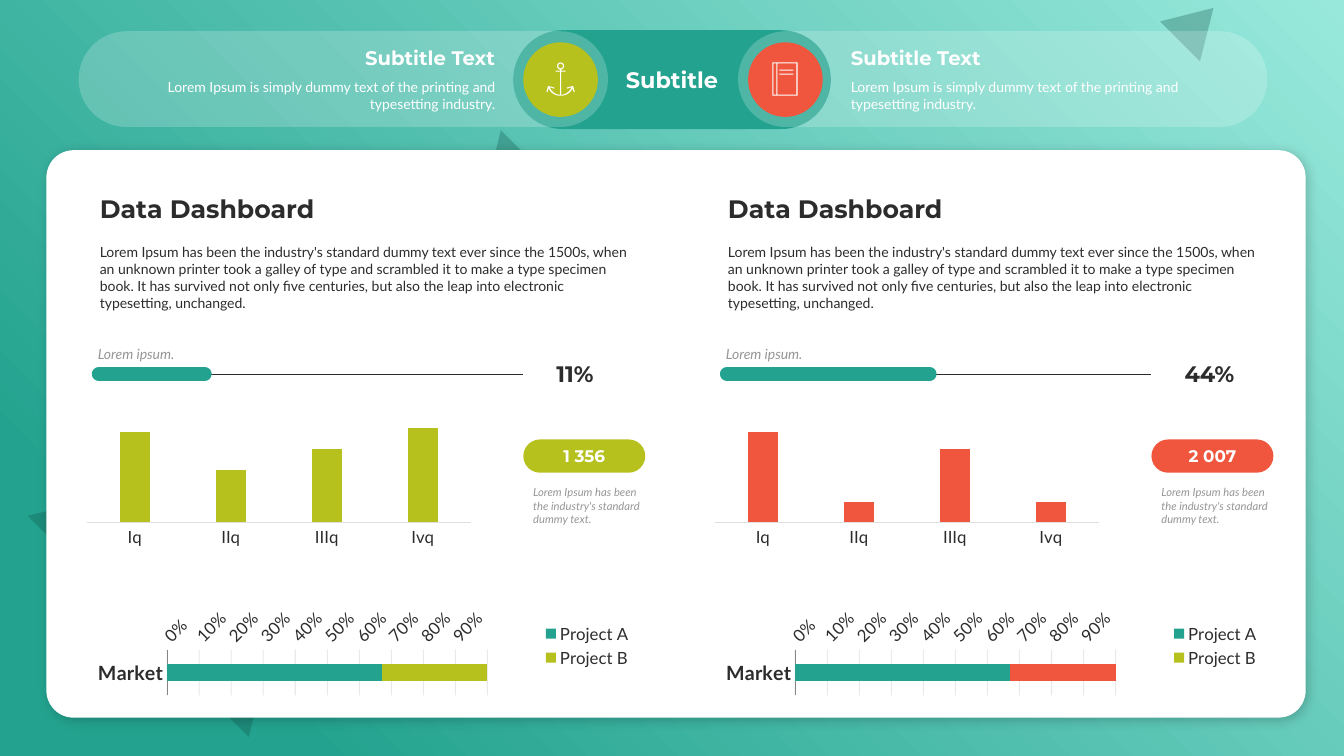
import math

import pptx
import pptx.chart.data
import pptx.dml.color
import pptx.enum.chart
import pptx.enum.shapes
import pptx.enum.text
import pptx.oxml
import pptx.oxml.ns
import pptx.util

PX = 9144  # EMU per px, 100 px to the inch
COLORS = {
    "mint": "98E9DC", "teal": "23A38F", "pine": "115248", "lime": "B7C11E",
    "coral": "F0563D", "white": "FFFFFF", "ink": "2C2C2C", "muted": "969696",
    "rule": "DFDFDF", "axis": "868686", "shade": "000000",
}
STYLES = {
    "title": dict(size=16, name="Montserrat", bold=True, color="white"),
    "wing heading": dict(size=14, name="Montserrat", bold=True, color="white"),
    "wing detail": dict(size=10, name="Lato", bold=False, color="white"),
    "heading": dict(size=18, name="Montserrat", bold=True, color="ink"),
    "body": dict(size=10, name="Lato", bold=False, color="ink"),
    "percent": dict(size=16, name="Montserrat", bold=True, color="ink"),
    "label": dict(size=10, name="Lato", italic=True, color="muted"),
    "badge": dict(size=12, name="Montserrat", bold=True, color="white"),
    "note": dict(size=8, name="Lato", italic=True, color="muted"),
    "chart": dict(size=12, name="Lato", color="ink"),
    "market": dict(size=14, name="Lato", bold=True, color="ink"),
}
ALIGN = pptx.enum.text.PP_ALIGN
ANCHOR = pptx.enum.text.MSO_ANCHOR
SHAPE = pptx.enum.shapes.MSO_SHAPE
CHART = pptx.enum.chart.XL_CHART_TYPE
NO_TICK = pptx.enum.chart.XL_TICK_MARK.NONE
PITCH = 623
WING_DETAIL = "Lorem Ipsum is simply dummy text of the printing and typesetting industry."
BODY = ("Lorem Ipsum has been the industry's standard dummy text ever since the 1500s, "
        "when an unknown printer took a galley of type and scrambled it to make a type "
        "specimen book. It has survived not only five centuries, but also the leap into "
        "electronic typesetting, unchanged.")
NOTE = "Lorem Ipsum has been the industry's standard dummy text."


def emu(*lengths):
    return [round(length * PX) for length in lengths]


def rgb(color):
    return pptx.dml.color.RGBColor.from_string(COLORS[color])


def xml(text):
    return pptx.oxml.parse_xml(text.replace(">", f" {pptx.oxml.ns.nsdecls('a', 'c')}>", 1))


def set_font(font, style):
    for name, value in STYLES[style].items():
        if name == "color":
            font.color.rgb = rgb(value)
        else:
            setattr(font, name, pptx.util.Pt(value) if name == "size" else value)


def set_alpha(fill_parent, percent):
    color = fill_parent.find(".//" + pptx.oxml.ns.qn("a:srgbClr"))
    color.append(xml(f'<a:alpha val="{percent * 1000}"></a:alpha>'))


def paint(shape, color, alpha=100):
    shape.shadow.inherit = False
    shape.line.fill.background()
    shape.fill.solid()
    shape.fill.fore_color.rgb = rgb(color)
    if alpha < 100:
        set_alpha(shape.element.spPr, alpha)
    return shape


def draw(shapes, kind, box, color, alpha=100, radius=None, rotation=0):
    shape = paint(shapes.add_shape(kind, *emu(*box)), color, alpha)
    shape.rotation = rotation
    if radius is not None:
        shape.adjustments[0] = radius
    return shape


def write(shape, lines, align=ALIGN.LEFT, anchor=ANCHOR.TOP, insets=(10, 5, 10, 5), after=0, grow=False):
    """Fill a shape with (text, style) paragraphs."""
    frame = shape.text_frame
    sizes = pptx.enum.text.MSO_AUTO_SIZE
    settings = dict(zip(("margin_left", "margin_top", "margin_right", "margin_bottom"), emu(*insets)))
    settings.update(word_wrap=True, vertical_anchor=anchor,
                    auto_size=sizes.SHAPE_TO_FIT_TEXT if grow else sizes.NONE)
    for name, value in settings.items():
        setattr(frame, name, value)
    for number, (text, style) in enumerate(lines):
        paragraph = frame.add_paragraph() if number else frame.paragraphs[0]
        paragraph.alignment = align
        paragraph.space_before = pptx.util.Pt(0)
        paragraph.space_after = pptx.util.Pt(after)
        run = paragraph.add_run()
        run.text = text
        set_font(run.font, style)


def write_box(shapes, box, text, style, **layout):
    write(shapes.add_textbox(*emu(*box)), [(text, style)], grow=True, **layout)


def write_placeholder(holder, box, text, style, **layout):
    """Move a placeholder to the box, on top of what is drawn so far, without bullets."""
    holder.left, holder.top, holder.width, holder.height = emu(*box)
    holder.element.getparent().append(holder.element)
    write(holder, [(text, style)], **layout)
    properties = holder.text_frame.paragraphs[0]._p.get_or_add_pPr()
    properties.set("marL", "0")
    properties.set("indent", "0")
    properties.append(xml("<a:buNone></a:buNone>"))


def draw_line(shapes, left, right, y, color, width, cap="flat"):
    line = shapes.add_connector(pptx.enum.shapes.MSO_CONNECTOR.STRAIGHT, *emu(left, y, right, y))
    line.line.color.rgb = rgb(color)
    line.line.width = pptx.util.Pt(width)
    line.element.spPr.find(pptx.oxml.ns.qn("a:ln")).set("cap", cap)
    line.element.spPr.append(xml("<a:effectLst></a:effectLst>"))


def draw_outline(shapes, x, y, contours, color, unit=1):
    """Draw closed contours, given in px / unit, as one shape with holes."""
    builder = shapes.build_freeform(*contours[0][0], scale=PX / unit)
    for number, contour in enumerate(contours):
        if number:
            builder.move_to(*contour[0])
        builder.add_line_segments(contour[1:], close=True)
    paint(builder.convert_to_shape(*emu(x, y)), color)


def curve(*controls):
    weights = [((1 - t) ** 3, 3 * t * (1 - t) ** 2, 3 * t * t * (1 - t), t ** 3)
               for t in (step / 10 for step in range(11))]
    return [tuple(sum(w * point[axis] for w, point in zip(row, controls)) for axis in (0, 1))
            for row in weights]


def arc(radius, start, end):
    return [(140 + radius * math.cos(math.radians(a)), 35 + radius * math.sin(math.radians(a)))
            for a in range(start, end + 1, 10)]


def draw_anchor(shapes, x, y):
    right = (arc(35, -90, 80) + [(145, 80), (190, 80), (190, 90), (145, 90)]
             + curve((145, 320), (190, 320), (230, 290), (250, 245))
             + [(205, 260), (200, 250), (255, 235), (265, 235), (280, 290), (270, 295)]
             + curve((258, 255), (240, 300), (200, 330), (140, 330)))
    left = [(280 - px, py) for px, py in reversed(right)]
    draw_outline(shapes, x, y, [right + left, arc(23, 0, 350)], "white", unit=10)


def draw_book(shapes, x, y):
    book = shapes.add_group_shape().shapes
    bounds = [(0, 0, 25, 33), (1, 1, 4, 32), (5, 1, 24, 32)]
    draw_outline(book, x, y, [[(l, t), (r, t), (r, b), (l, b)] for l, t, r, b in bounds], "white")
    for drop in (7, 11):
        draw(book, SHAPE.RECTANGLE, (x + 7, y + drop, 14, 1), "white")


def draw_background(shapes, width, height):
    backdrop = draw(shapes, SHAPE.RECTANGLE, (0, 0, width, height), "teal")
    backdrop.fill.gradient()
    for stop, position, color in zip(backdrop.fill.gradient_stops, (0, 0.85), ("mint", "teal")):
        stop.position = position
        stop.color.rgb = rgb(color)
    gradient = backdrop.element.spPr.find(pptx.oxml.ns.qn("a:gradFill"))
    gradient.replace(gradient.find(pptx.oxml.ns.qn("a:lin")), xml(
        '<a:path path="circle"><a:fillToRect l="100000" b="100000"/></a:path>'))
    for box, rotation in (((73, 402, 310, 257), 45), ((457, 150, 90, 75), 225), ((1159, 1, 56, 47), 45)):
        draw(shapes, SHAPE.ISOSCELES_TRIANGLE, box, "pine", alpha=30, rotation=rotation)


def draw_header(slide, left, top):
    shapes = slide.shapes
    pill = (left + 431, top - 1, 315, 98)
    draw(shapes, SHAPE.ROUNDED_RECTANGLE, pill, "teal", radius=0.5)
    write_placeholder(shapes.title, pill, "Subtitle", "title", align=ALIGN.CENTER,
                      anchor=ANCHOR.MIDDLE, insets=(87, 5, 87, 5))
    for x, align, insets in ((left + 654, ALIGN.LEFT, (98, 5, 20, 5)), (left, ALIGN.RIGHT, (20, 5, 98, 5))):
        wing = draw(shapes, SHAPE.ROUNDED_RECTANGLE, (x, top, 525, 95), "white", alpha=20, radius=0.5)
        write(wing, [("Subtitle Text", "wing heading"), (WING_DETAIL, "wing detail")],
              align, ANCHOR.MIDDLE, insets, after=6)
    for x, color in ((left + 441, "lime"), (left + 664, "coral")):
        draw(shapes, SHAPE.OVAL, (x, top + 11, 74, 74), color)
    draw_anchor(shapes, left + 464, top + 31)
    draw_book(shapes, left + 688, top + 31)


def draw_card(shapes, box):
    card = draw(shapes, SHAPE.ROUNDED_RECTANGLE, box, "white", radius=0.048)
    card.element.spPr.find(pptx.oxml.ns.qn("a:effectLst")).append(xml(
        '<a:outerShdw blurRad="101600" dist="38100" dir="2700000" algn="tl" rotWithShape="0">'
        f'<a:srgbClr val="{COLORS["shade"]}"><a:alpha val="20000"/></a:srgbClr></a:outerShdw>'))


def add_chart(shapes, kind, box, categories, series, gap, overlap, layout):
    """Add a chart; series holds (name, values, color), layout the inner plot's x, y, w, h."""
    data = pptx.chart.data.CategoryChartData()
    data.categories = categories
    for name, values, color in series:
        data.add_series(name, values)
    chart = shapes.add_chart(kind, *emu(*box), data).chart
    chart.has_title = chart.has_legend = False
    set_font(chart.font, "chart")
    plot = chart.plots[0]
    plot.vary_by_categories, plot.gap_width, plot.overlap = False, gap, overlap
    for drawn, (name, values, color) in zip(plot.series, series):
        drawn.format.fill.solid()
        drawn.format.fill.fore_color.rgb = rgb(color)
    for axis in (chart.category_axis, chart.value_axis):
        axis.major_tick_mark = axis.minor_tick_mark = NO_TICK
    chart.category_axis.format.line.width = pptx.util.Pt(0.75)
    area = chart.element.find(".//" + pptx.oxml.ns.qn("c:plotArea"))
    for old in area.findall(pptx.oxml.ns.qn("c:layout")):
        area.remove(old)
    sides = "".join(f'<c:{side} val="{value}"/>' for side, value in zip("xywh", layout))
    area.insert(0, xml('<c:layout><c:manualLayout><c:layoutTarget val="inner"/>'
                       f'<c:xMode val="edge"/><c:yMode val="edge"/>{sides}</c:manualLayout></c:layout>'))
    return chart


def add_quarters(shapes, box, values, top_value, accent):
    chart = add_chart(shapes, CHART.COLUMN_CLUSTERED, box, ["Iq", "IIq", "IIIq", "Ivq"],
                      [("Series 1", values, accent)], 219, -27, (0.02, 0.1, 0.95, 0.63))
    chart.category_axis.format.line.color.rgb = rgb("rule")
    scale = dict(visible=False, has_major_gridlines=False, minimum_scale=0, maximum_scale=top_value)
    for name, value in scale.items():
        setattr(chart.value_axis, name, value)


def add_market(shapes, box, accent):
    chart = add_chart(shapes, CHART.BAR_STACKED_100, box, ["Market"],
                      [("Project A", [67], "teal"), ("Project B", [33], "lime")],
                      155, 100, (0.14, 0.54, 0.58, 0.44))
    share = chart.plots[0].series[1].points[0].format.fill
    share.solid()
    share.fore_color.rgb = rgb(accent)
    chart.category_axis.reverse_order = True
    chart.category_axis.format.line.color.rgb = rgb("axis")
    set_font(chart.category_axis.tick_labels.font, "market")
    scale = chart.value_axis
    scale.major_unit = 0.1
    scale.format.line.fill.background()
    scale.tick_labels.number_format = "0%"
    scale.tick_labels.number_format_is_linked = False
    set_font(scale.tick_labels.font, "chart")
    scale._element.find(".//" + pptx.oxml.ns.qn("a:bodyPr")).set("rot", "-2700000")
    grid = scale.major_gridlines.format.line
    grid.color.rgb = rgb("ink")
    grid.width = pptx.util.Pt(0.75)
    set_alpha(scale._element.find(pptx.oxml.ns.qn("c:majorGridlines")), 10)
    chart.has_legend = True
    chart.legend.position = pptx.enum.chart.XL_LEGEND_POSITION.RIGHT
    chart.legend.include_in_layout = False
    set_font(chart.legend.font, "chart")


def draw_panel(slide, left, top, heading, body, accent, percent, progress, total, quarters, top_value):
    shapes = slide.shapes
    badge = draw(shapes, SHAPE.ROUNDED_RECTANGLE, (left + 430, top + 249, 121, 33), accent, radius=0.5)
    write(badge, [(total, "badge")], ALIGN.CENTER, ANCHOR.MIDDLE, (0, 0, 0, 0))
    write_box(shapes, (left + 430, top + 290, 138, 50), NOTE, "note")
    add_quarters(shapes, (left - 11, top + 211, 401, 165), quarters, top_value, accent)
    add_market(shapes, (left, top + 402, 548, 103), accent)
    write_placeholder(body, (left, top + 50, 548, 77), BODY, "body", after=6, grow=True)
    write_placeholder(heading, (left, top, 548, 40), "Data Dashboard", "heading",
                      anchor=ANCHOR.BOTTOM, grow=True)
    draw_line(shapes, left + 4, left + 430, top + 184, "ink", 0.5)
    draw_line(shapes, left + 9, left + 9 + progress, top + 184, "teal", 10, cap="rnd")
    write_box(shapes, (left + 453, top + 165, 95, 37), percent, "percent", anchor=ANCHOR.MIDDLE)
    write_box(shapes, (left, top + 150, 192, 27), "Lorem ipsum.", "label",
              anchor=ANCHOR.BOTTOM, insets=(8, 5, 10, 5))


def main():
    deck = pptx.Presentation()
    deck.slide_width, deck.slide_height = emu(1333, 750)
    slide = deck.slides.add_slide(deck.slide_layouts.get_by_name("Comparison"))
    holders = {holder.placeholder_format.idx: holder for holder in slide.placeholders}
    draw_background(slide.shapes, 1333, 750)
    draw_header(slide, 78, 31)
    draw_card(slide.shapes, (46, 149, 1249, 563))
    panels = [
        ("lime", "11%", 105, "1 356", (96, 56, 78, 100), 111),
        ("coral", "44%", 201, "2 007", (100, 23, 81, 23), 116),
    ]
    for number, panel in enumerate(panels):
        heading, body = holders[1 + 2 * number], holders[2 + 2 * number]
        draw_panel(slide, 89 + PITCH * number, 187, heading, body, *panel)
    deck.save("out.pptx")


if __name__ == "__main__":
    main()
